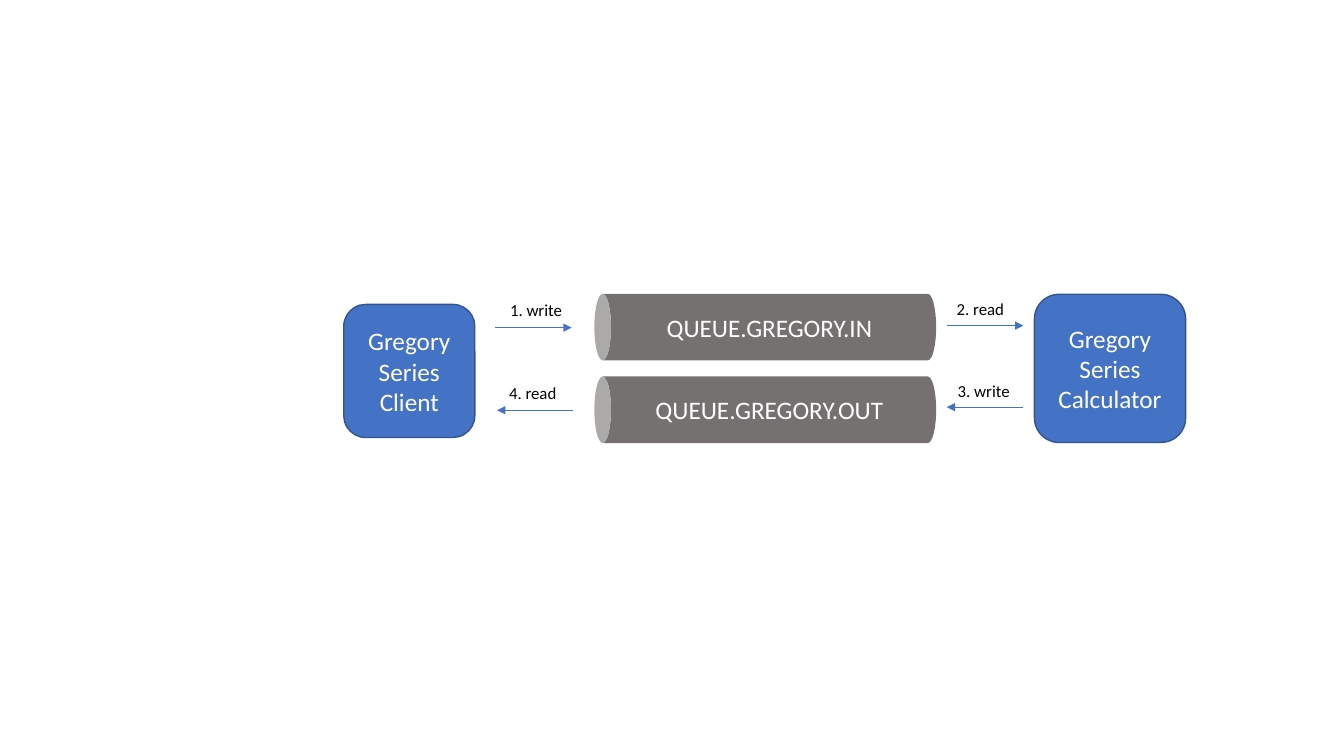
from lxml import etree
from pptx import Presentation
from pptx.dml.color import RGBColor
from pptx.enum.shapes import MSO_CONNECTOR, MSO_SHAPE
from pptx.enum.text import MSO_ANCHOR, MSO_AUTO_SIZE, PP_ALIGN
from pptx.oxml.ns import qn
from pptx.util import Pt

EMU_PER_PX = 9144
FONT = "Calibri"
COLORS = {
    "blue": "4472C4",
    "outline": "325491",
    "gray": "767171",
    "white": "FFFFFF",
    "black": "000000",
}
CAN = MSO_SHAPE.CAN
ROUNDED_RECTANGLE = MSO_SHAPE.ROUNDED_RECTANGLE
STRAIGHT = MSO_CONNECTOR.STRAIGHT
MIDDLE = MSO_ANCHOR.MIDDLE
FIT_SHAPE = MSO_AUTO_SIZE.SHAPE_TO_FIT_TEXT
CENTER = PP_ALIGN.CENTER
LEFT = PP_ALIGN.LEFT


def px(*lengths):
    return [length * EMU_PER_PX for length in lengths]


def color(name):
    return RGBColor.from_string(COLORS[name])


def write_text(shape, text, size, color_name, alignment):
    shape.text_frame.text = text
    for paragraph in shape.text_frame.paragraphs:
        paragraph.alignment = alignment
        for run in paragraph.runs:
            run.font.name = FONT
            run.font.size = Pt(size)
            run.font.color.rgb = color(color_name)


def add_filled_shape(slide, kind, box, fill, text):
    shape = slide.shapes.add_shape(kind, *px(*box))
    shape.shadow.inherit = False
    shape.fill.solid()
    shape.fill.fore_color.rgb = color(fill)
    shape.text_frame.vertical_anchor = MIDDLE
    write_text(shape, text, 18, "white", CENTER)
    return shape


def add_queue(slide, top, name):
    queue = add_filled_shape(slide, CAN, (726, top, 66, 339), "gray", name)
    queue.line.fill.background()
    queue.rotation = 270
    queue.element.txBody.find(qn("a:bodyPr")).set("vert", "vert")


def add_program(slide, box, name):
    program = add_filled_shape(slide, ROUNDED_RECTANGLE, box, "blue", name)
    program.line.color.rgb = color("outline")
    program.line.width = Pt(1)


def add_arrow(slide, start_x, end_x, y):
    arrow = slide.shapes.add_connector(STRAIGHT, *px(start_x, y, end_x, y))
    arrow.line.color.rgb = color("blue")
    arrow.line.width = Pt(0.5)
    properties = arrow.element.spPr
    etree.SubElement(properties.find(qn("a:ln")), qn("a:tailEnd"), type="triangle")
    etree.SubElement(properties, qn("a:effectLst"))


def add_label(slide, left, top, width, text):
    label = slide.shapes.add_textbox(*px(left, top, width, 30))
    label.text_frame.word_wrap = False
    label.text_frame.auto_size = FIT_SHAPE
    write_text(label, text, 12, "black", LEFT)


def main():
    presentation = Presentation()
    presentation.slide_width, presentation.slide_height = px(1333, 750)
    slide = presentation.slides.add_slide(presentation.slide_layouts[6])

    add_queue(slide, 155, "QUEUE.GREGORY.IN")
    add_queue(slide, 237, "QUEUE.GREGORY.OUT")
    add_program(slide, (341, 302, 130, 132), "Gregory\nSeries\nClient")
    add_program(slide, (1026, 292, 150, 147), "Gregory\nSeries\nCalculator")

    steps = [
        ((491, 567, 325), (496, 292, 72), "1. write"),
        ((939, 1015, 323), (939, 291, 68), "2. read"),
        ((1015, 939, 404), (940, 373, 72), "3. write"),
        ((568, 493, 407), (495, 375, 68), "4. read"),
    ]
    for arrow, label, text in steps:
        add_arrow(slide, *arrow)
        add_label(slide, *label, text)

    presentation.save("out.pptx")


if __name__ == "__main__":
    main()
